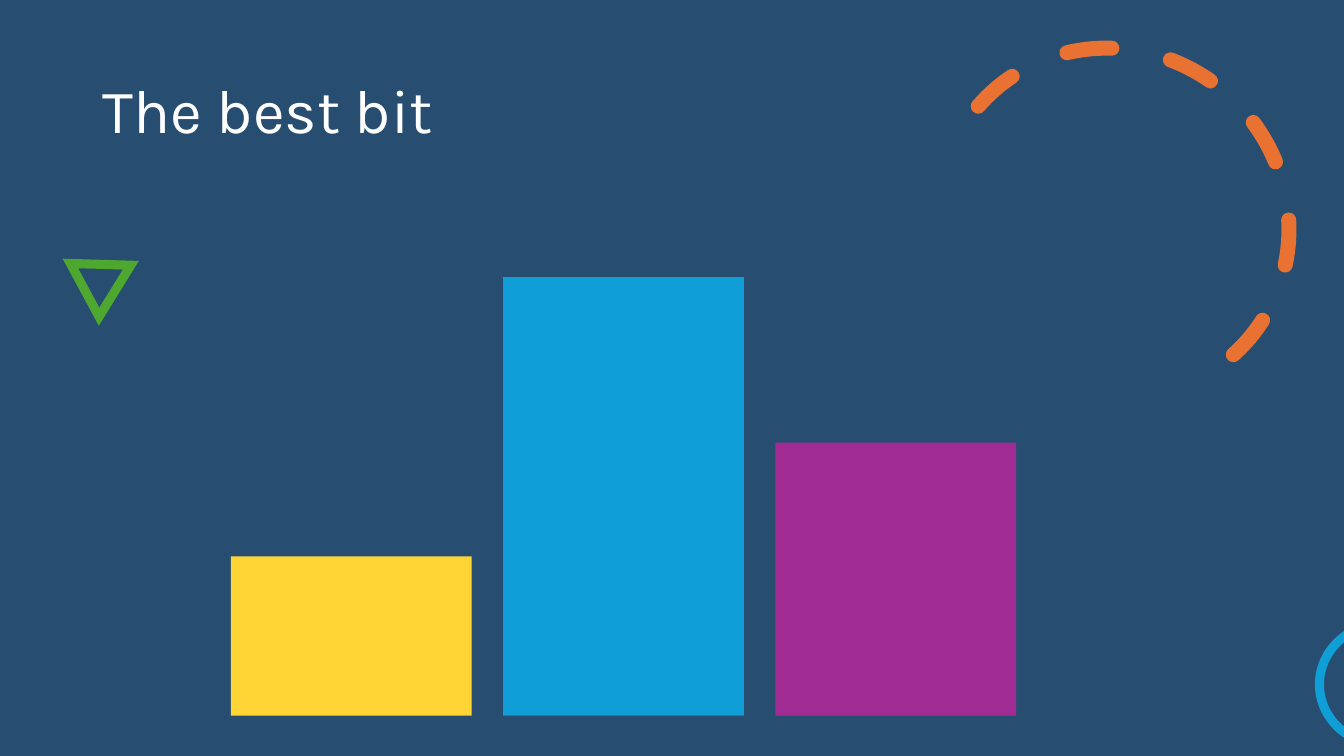
from typing import NamedTuple

from pptx import Presentation
from pptx.dml.color import RGBColor
from pptx.enum.dml import MSO_LINE_DASH_STYLE as Dash
from pptx.enum.shapes import MSO_AUTO_SHAPE_TYPE as Preset
from pptx.enum.text import MSO_VERTICAL_ANCHOR as Anchor
from pptx.oxml.ns import qn
from pptx.slide import Slide
from pptx.util import Pt
from lxml.etree import SubElement

COLORS = {
    "navy": "274E70",
    "white": "FFFFFF",
    "yellow": "FFD535",
    "blue": "0F9ED5",
    "purple": "A02B93",
    "orange": "E97132",
    "green": "4EA72E",
}
BAR_LEFT, BAR_WIDTH, BAR_PITCH, BAR_BASE = 165, 172, 194.4, 511.2


class Bar(NamedTuple):
    color: str
    height: float


class Outline(NamedTuple):
    preset: Preset
    box: tuple[float, float, float, float]
    color: str
    weight: float
    rotation: float = 0
    adjustments: tuple[float, ...] = ()
    dashed: bool = False


BARS = [Bar("yellow", 113.8), Bar("blue", 313.2), Bar("purple", 195.1)]
OUTLINES = [
    Outline(Preset.ARC, (672.5, 31.7, 245.5, 254.9), "orange", 10.75, 310.8, (162, 66.98), True),
    Outline(Preset.ISOSCELES_TRIANGLE, (44.6, 179.3, 43.2, 37.4), "green", 6.5, 301.7),
    Outline(Preset.OVAL, (942.5, 445.7, 90.7, 86.4), "blue", 6.5),
]


def rgb(name: str) -> RGBColor:
    return RGBColor.from_string(COLORS[name])


def add_title(slide: Slide, title: str) -> None:
    frame = slide.shapes.add_textbox(Pt(66.2), Pt(28.8), Pt(828), Pt(104.4)).text_frame
    frame.word_wrap = True
    frame.vertical_anchor = Anchor.MIDDLE
    frame.text = title
    paragraph = frame.paragraphs[0]
    paragraph.line_spacing = 0.9
    font = paragraph.runs[0].font
    font.name, font.size = "Karla", Pt(44)
    font.color.rgb = rgb("white")


def add_bar(slide: Slide, index: int, bar: Bar) -> None:
    column = slide.shapes.add_shape(
        Preset.RECTANGLE, Pt(BAR_LEFT + index * BAR_PITCH), Pt(BAR_BASE - bar.height),
        Pt(BAR_WIDTH), Pt(bar.height))
    column.shadow.inherit = False
    column.fill.solid()
    column.fill.fore_color.rgb = rgb(bar.color)
    column.line.fill.background()


def add_outline(slide: Slide, outline: Outline) -> None:
    ornament = slide.shapes.add_shape(outline.preset, *map(Pt, outline.box))
    ornament.shadow.inherit = False
    ornament.rotation = outline.rotation
    for index, value in enumerate(outline.adjustments):
        ornament.adjustments[index] = value
    ornament.fill.background()
    line = ornament.line
    line.color.rgb = rgb(outline.color)
    line.width = Pt(outline.weight)
    stroke = line._get_or_add_ln()
    if outline.dashed:
        line.dash_style = Dash.DASH
        stroke.set("cap", "rnd")
    SubElement(stroke, qn("a:miter"), lim="800000")


def main() -> None:
    deck = Presentation()
    deck.slide_width, deck.slide_height = Pt(960), Pt(540)
    slide = deck.slides.add_slide(deck.slide_layouts[6])
    slide.background.fill.solid()
    slide.background.fill.fore_color.rgb = rgb("navy")
    add_title(slide, "The best bit")
    for index, bar in enumerate(BARS):
        add_bar(slide, index, bar)
    for outline in OUTLINES:
        add_outline(slide, outline)
    deck.save("out.pptx")


if __name__ == "__main__":
    main()
